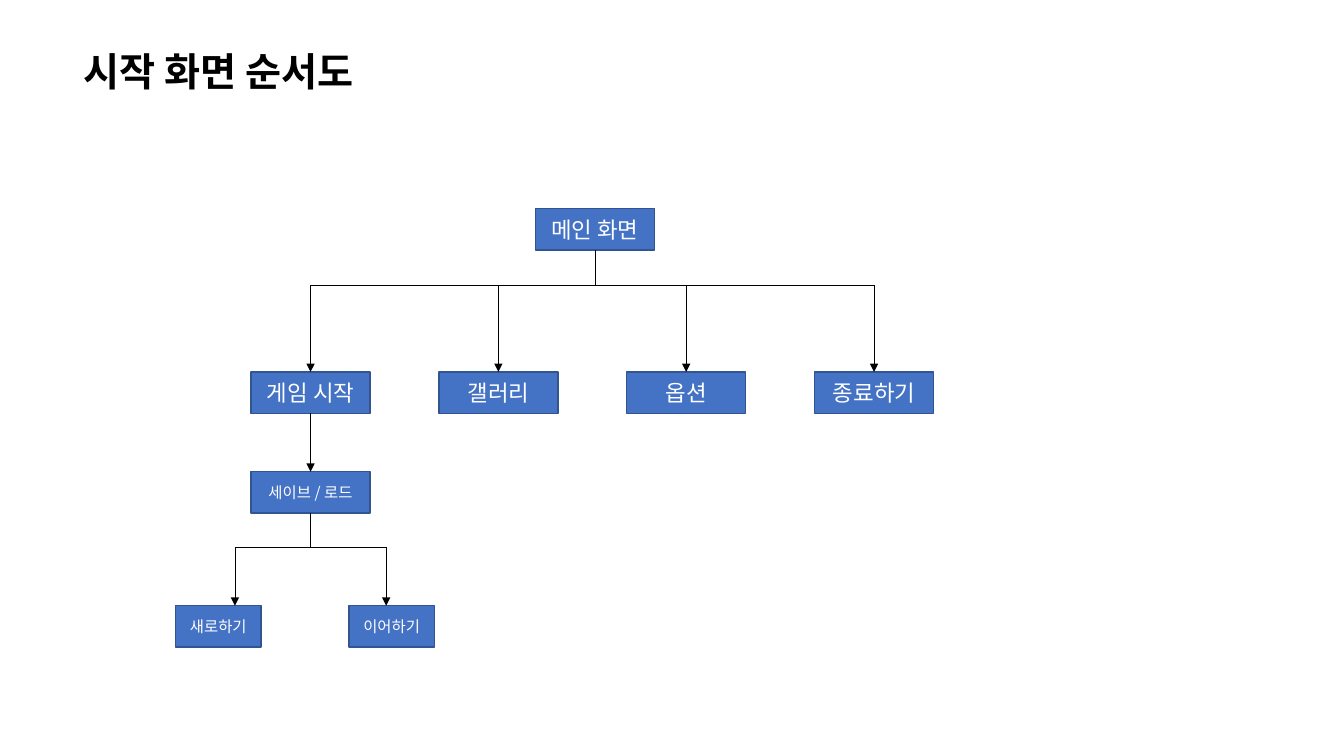
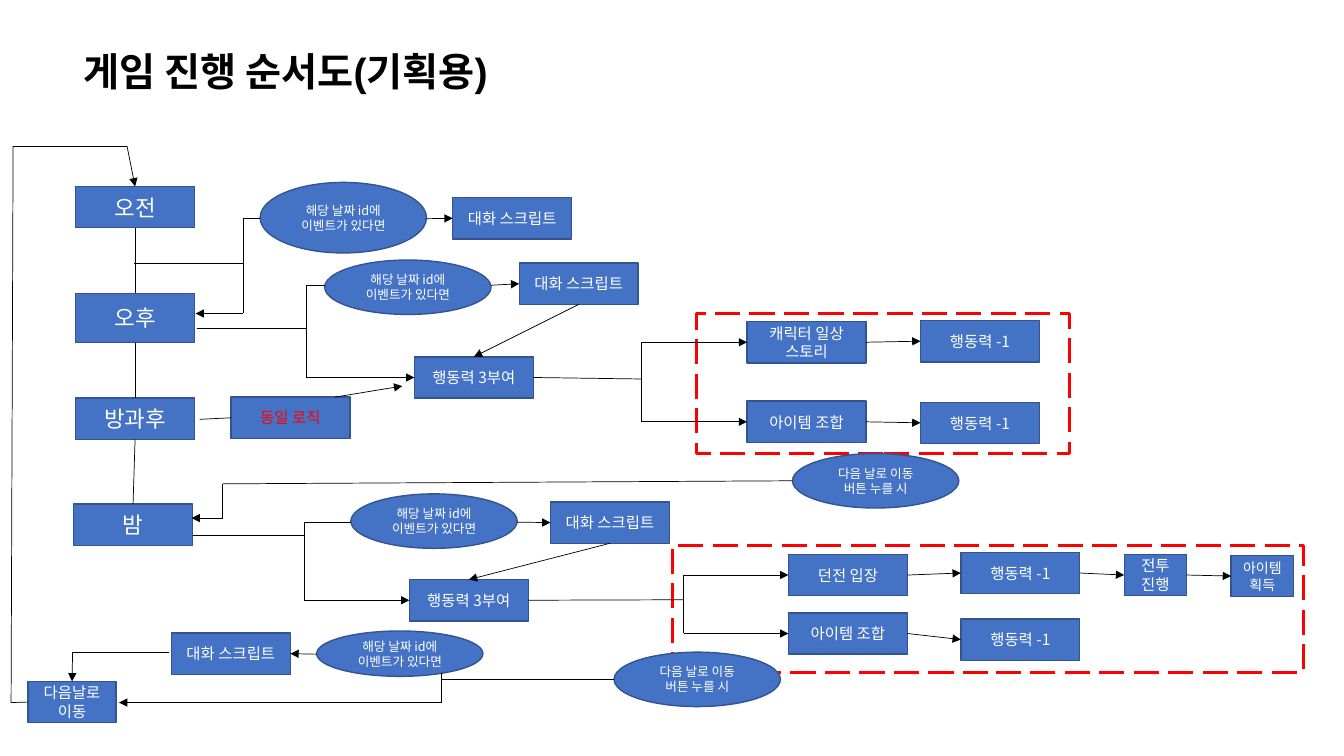
import pptx
import pptx.dml.color
import pptx.enum.dml
import pptx.enum.shapes
import pptx.enum.text
import pptx.oxml
import pptx.oxml.ns
import pptx.util

# Shared look; every length below counts cells of a 0.1 inch grid
CELL = pptx.util.Inches(0.1)
FONT = "Noto Sans CJK KR"
BLUE, NAVY, RED, WHITE, BLACK = "4472C4", "325491", "FF0000", "FFFFFF", "000000"
RECT = pptx.enum.shapes.MSO_SHAPE.RECTANGLE
OVAL = pptx.enum.shapes.MSO_SHAPE.OVAL
WIDTH, HEIGHT = 11.8, 4.1
TOP, LEFT, BOTTOM, RIGHT = range(4)
rgb = pptx.dml.color.RGBColor.from_string


def add_node(page, text, x, y, width=WIDTH, height=HEIGHT, size=11, kind=RECT, color=WHITE):
    """Add a box or oval with centred text; without text it is a dashed frame."""
    shape = page.shapes.add_shape(kind, *(round(n * CELL) for n in (x, y, width, height)))
    shape.shadow.inherit = False
    if not text:
        shape.fill.background()
        shape.line.color.rgb = rgb(RED)
        shape.line.width = pptx.util.Pt(2.25)
        shape.line.dash_style = pptx.enum.dml.MSO_LINE.LONG_DASH
        return shape
    shape.fill.solid()
    shape.fill.fore_color.rgb = rgb(BLUE)
    shape.line.color.rgb = rgb(NAVY)
    shape.line.width = pptx.util.Pt(1)
    frame = shape.text_frame
    frame.text = text
    frame.word_wrap = True
    frame.vertical_anchor = pptx.enum.text.MSO_ANCHOR.MIDDLE
    for para in frame.paragraphs:
        para.alignment = pptx.enum.text.PP_ALIGN.CENTER
        for span in para.runs:
            span.font.size = pptx.util.Pt(size)
            span.font.name = FONT
            span.font.color.rgb = rgb(color)
            east_asian = pptx.oxml.parse_xml(
                f'<a:ea {pptx.oxml.ns.nsdecls("a")} typeface="{FONT}"/>')
            span.font._element.append(east_asian)
    return shape


def add_route(page, *stops, arrow=True):
    """Join stops, each a grid point or a (box, side) pair, by straight lines."""
    for start, end in zip(stops, stops[1:]):
        ends = [(0, 0) if hasattr(stop[0], "text_frame") else stop for stop in (start, end)]
        line = page.shapes.add_connector(
            pptx.enum.shapes.MSO_CONNECTOR.STRAIGHT,
            *(round(n * CELL) for point in ends for n in point))
        if hasattr(start[0], "text_frame"):
            line.begin_connect(*start)
        if hasattr(end[0], "text_frame"):
            line.end_connect(*end)
        line.line.color.rgb = rgb(BLACK)
        line.line.width = pptx.util.Pt(0.5)
        line._element.spPr.append(
            pptx.oxml.parse_xml(f'<a:effectLst {pptx.oxml.ns.nsdecls("a")}/>'))
        if arrow and end is stops[-1]:
            line.line._get_or_add_ln().append(pptx.oxml.parse_xml(
                f'<a:tailEnd {pptx.oxml.ns.nsdecls("a")} type="triangle"/>'))


deck = pptx.Presentation()
deck.slide_width = pptx.util.Inches(13.33)
deck.slide_height = pptx.util.Inches(7.5)

# Titled pages
pages = []
for heading, title_width in (("시작 화면 순서도", 37.6), ("게임 진행 순서도(기획용)", 46.4)):
    page = deck.slides.add_slide(deck.slide_layouts[5])
    title = page.shapes.title
    title.left, title.top, title.width, title.height = (
        round(n * CELL) for n in (7.3, 4.2, title_width, 5.7))
    title.text_frame.text = heading
    title.text_frame.word_wrap = False
    title.text_frame.auto_size = pptx.enum.text.MSO_AUTO_SIZE.NONE
    title.text_frame.vertical_anchor = pptx.enum.text.MSO_ANCHOR.MIDDLE
    para = title.text_frame.paragraphs[0]
    para.alignment = pptx.enum.text.PP_ALIGN.LEFT
    span = para.runs[0]
    span.font.name = "Arial"
    span.font.size = pptx.util.Pt(28)
    span.font.bold = True
    span.font.color.rgb = rgb(BLACK)
    pages.append(page)
start_page, game_page = pages

# Start screen: main menu and its four entries
MENU_LEFT, MENU_STEP, MENU_BUS = 24.9, 18.63, 28.3
main_box = add_node(start_page, "메인 화면", 53.1, 20.7, size=16)
add_route(start_page, (main_box, BOTTOM), (59, MENU_BUS), arrow=False)
menu = []
for column, label in enumerate(("게임 시작", "갤러리", "옵션", "종료하기")):
    x = MENU_LEFT + column * MENU_STEP
    menu.append(add_node(start_page, label, x, 36.9, size=16))
    add_route(start_page, (x + WIDTH / 2, MENU_BUS), (menu[-1], TOP))
first_center = MENU_LEFT + WIDTH / 2
add_route(start_page, (first_center, MENU_BUS),
          (first_center + 3 * MENU_STEP, MENU_BUS), arrow=False)

# Start screen: save and load
save_box = add_node(start_page, "세이브 / 로드", MENU_LEFT, 46.8)
add_route(start_page, (menu[0], BOTTOM), (save_box, TOP))
add_route(start_page, (save_box, BOTTOM), (first_center, 54.3), arrow=False)
for label, x, arrow_x in (("새로하기", 17.4, 23.3), ("이어하기", 34.6, 38.3)):
    add_node(start_page, label, x, 60.1, width=8.5)
    add_route(start_page, (first_center, 54.3), (arrow_x, 54.3), (arrow_x, 60.1))

# Game flow: dashed groups of actions
for bounds in ((69.1, 31.1, 37, 13.9), (66.7, 54.1, 62.6, 12.6)):
    add_node(game_page, "", *bounds)

# Game flow: times of day
morning, afternoon, after_school, night = day = [
    add_node(game_page, label, x, y, height=height, size=16)
    for label, x, y, height in (("오전", 7.5, 18.5, HEIGHT), ("오후", 7.5, 29.1, 4.9),
                                ("방과후", 7.5, 39.5, HEIGHT), ("밤", 7.3, 50, HEIGHT))]
for earlier, later in zip(day, day[1:]):
    add_route(game_page, (earlier, BOTTOM), (later, TOP), arrow=False)

# Game flow: conditions
EVENT, NEXT_DAY = "해당 날짜 id에 이벤트가 있다면", "다음 날로 이동 버튼 누를 시"
for label, x, y, height in ((EVENT, 25.8, 18.1, 7), (EVENT, 32.2, 25.8, 5.4),
                            (EVENT, 34.8, 49, 5.4), (EVENT, 31.4, 62.6, 4.5),
                            (NEXT_DAY, 78.6, 45, 5.4), (NEXT_DAY, 60.9, 64.7, 5.4)):
    add_node(game_page, label, x, y, 16.5, height, size=9, kind=OVAL)

# Game flow: dialogue scripts and action points
morning_talk, noon_talk, night_talk, end_talk = [
    add_node(game_page, "대화 스크립트", x, y)
    for x, y in ((44.9, 19.6), (51.5, 26.1), (54.6, 49.8), (17, 62.8))]
noon_grant, night_grant = [
    add_node(game_page, "행동력 3부여", x, y) for x, y in ((41.1, 35.4), (40.6, 57.5))]
same_logic = add_node(game_page, "동일 로직", 22.9, 39.4, color=RED)
next_day = add_node(game_page, "다음날로\n이동", 2.8, 67.6, width=8.7)

# Game flow: actions, each costing one point
costs = []
for grant, fork, branches in (
        (noon_grant, (63.6, 37.6), (("캐릭터 일상 스토리", 74.1, 31.9, 91.3, 31.8),
                                    ("아이템 조합", 74.1, 39.8, 91.3, 39.9))),
        (night_grant, (67.8, 59.5), (("던전 입장", 78.2, 55, 95.3, 54.8),
                                     ("아이템 조합", 78.2, 60.8, 95.3, 61.4)))):
    add_route(game_page, (grant, RIGHT), fork, arrow=False)
    for label, x, y, cost_x, cost_y in branches:
        action = add_node(game_page, label, x, y)
        cost = add_node(game_page, "행동력 -1", cost_x, cost_y)
        add_route(game_page, fork, (fork[0], y + HEIGHT / 2), (action, LEFT))
        add_route(game_page, (action, RIGHT), (cost, LEFT))
        costs.append(cost)
battle = add_node(game_page, "전투 진행", 111.5, 55, width=6.2)
reward = add_node(game_page, "아이템 획득", 122.1, 55.1, width=6.2, size=10)
add_route(game_page, (costs[2], RIGHT), (battle, LEFT))
add_route(game_page, (battle, RIGHT), (reward, LEFT))

# Game flow: morning event
add_route(game_page, (13.3, 26.1), (24.1, 26.1), arrow=False)
add_route(game_page, (25.8, 21.7), (24.1, 21.7), (24.1, 31.1), (19.4, 31.1))
add_route(game_page, (42.3, 21.7), (morning_talk, LEFT))

# Game flow: afternoon and night events share one pattern
for start, fork_x, event_y, event_left, event_right, talk, grant in (
        ((19.5, 32.6), 30.4, 28.3, 32.2, 48.7, noon_talk, noon_grant),
        ((19.1, 53.1), 30.2, 51.8, 34.8, 51.3, night_talk, night_grant)):
    fork = (fork_x, start[1])
    grant_y = (grant.top + grant.height / 2) / CELL
    add_route(game_page, start, fork, (fork_x, grant_y), (grant, LEFT))
    add_route(game_page, fork, (fork_x, event_y), (event_left, event_y), arrow=False)
    add_route(game_page, (event_right, event_y), (talk, LEFT))
    add_route(game_page, (talk, BOTTOM), (grant, TOP))
add_route(game_page, (19.8, 41.6), (same_logic, LEFT), arrow=False)
add_route(game_page, (33.2, 39.4), (39.9, 38.3))

# Game flow: moving on to night and to the next day
add_route(game_page, (78.6, 47.7), (22.1, 48), (22.1, 51.4), (19, 51.4))
add_route(game_page, (31.4, 64.9), (end_talk, RIGHT))
add_route(game_page, (16.8, 64.7), (7.2, 64.7), (next_day, TOP))
add_route(game_page, (60.9, 67.4), (43.8, 67.4), arrow=False)
add_route(game_page, (43.8, 66.8), (43.8, 69.7), (11.8, 69.7))
add_route(game_page, (next_day, LEFT), (1.1, 69.7), (1.3, 14.5), (12.6, 14.5), (morning, TOP))

deck.save("out.pptx")
